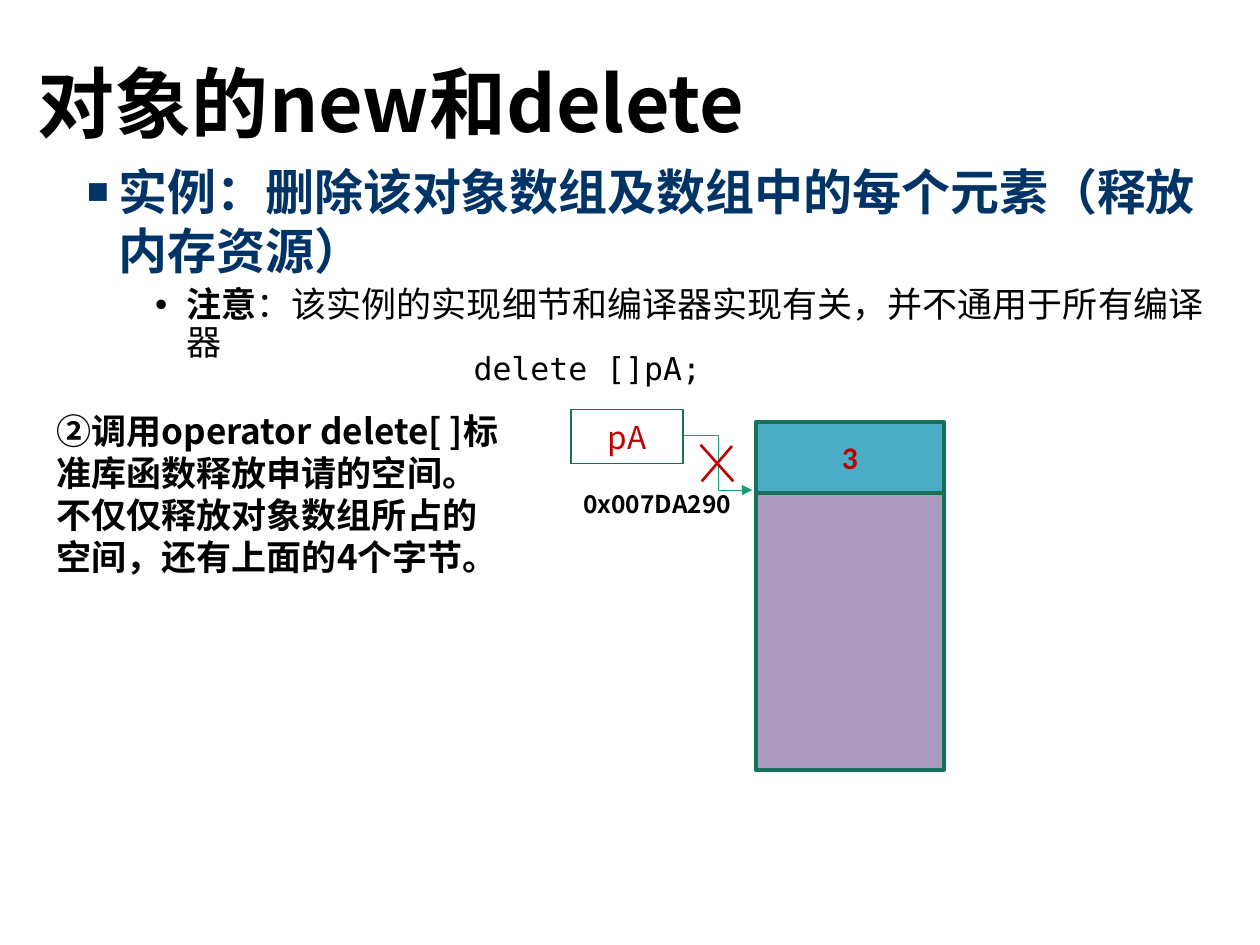
"""Build the slide on new and delete for arrays of objects."""
from dataclasses import dataclass
from typing import Optional

from lxml.etree import SubElement
from pptx import Presentation
from pptx.dml.color import RGBColor
from pptx.enum.shapes import MSO_CONNECTOR as Connector, MSO_SHAPE as Preset
from pptx.enum.text import MSO_ANCHOR as Anchor, MSO_AUTO_SIZE as AutoSize, PP_ALIGN as Align
from pptx.oxml.ns import qn
from pptx.util import Inches, Pt

BLACK = RGBColor(0x00, 0x00, 0x00)
WHITE = RGBColor(0xFF, 0xFF, 0xFF)
NAVY = RGBColor(0x00, 0x33, 0x66)
RED = RGBColor(0xC0, 0x00, 0x00)
PURPLE = RGBColor(0xAA, 0x9A, 0xBF)
BLUE = RGBColor(0x4A, 0xAC, 0xC5)
DARK_GREEN = RGBColor(0x15, 0x72, 0x59)
GREEN = RGBColor(0x1D, 0x9A, 0x78)
SANS, MONO, CALIBRI = "Noto Sans CJK SC", "DejaVu Sans Mono", "Calibri"


@dataclass(frozen=True)
class Label:
    """A text box with its place and style."""
    box: tuple
    lines: tuple
    size: int
    bold: bool = True
    font: str = SANS


@dataclass(frozen=True)
class Block:
    """A bordered rectangle of the memory diagram."""
    box: tuple
    fill: RGBColor
    border: float
    text: str = ""
    bold: bool = False
    font: str = SANS


@dataclass(frozen=True)
class Stroke:
    """A connector between two points."""
    start: tuple
    end: tuple
    color: RGBColor
    width: float
    kind: Connector = Connector.STRAIGHT
    arrow: bool = False


LABELS = (
    Label((0.35, 3.2, 3.78, 1.45), (
        "②调用operator delete[ ]标准库函数释放申请的空间。",
        "不仅仅释放对象数组所占的空间，还有上面的4个字节。"), 20),
    Label((4.53, 3.83, 1.47, 0.34), ("0x007DA290",), 14),
    Label((3.66, 2.72, 7.32, 0.4), ("delete []pA;",), 18, False, MONO),
)
BLOCKS = (
    Block((6, 3.9, 1.49, 2.21), PURPLE, 2.25),
    Block((6, 3.35, 1.49, 0.56), BLUE, 2.25, "3", True, CALIBRI),
    Block((4.53, 3.25, 0.89, 0.43), WHITE, 1, "pA"),
)
STROKES = (
    Stroke((5.43, 3.46), (5.97, 3.89), GREEN, 0.5, Connector.ELBOW, True),
    Stroke((5.56, 3.53), (5.82, 3.82), RED, 1.5),
    Stroke((5.81, 3.54), (5.57, 3.82), RED, 1.5),
)


def style(paragraph, size: int, color: RGBColor, bold: bool, font: str) -> None:
    """Set the font of a paragraph and the East Asian font of its runs."""
    paragraph.font.size = Pt(size)
    paragraph.font.color.rgb = color
    paragraph.font.bold = bold
    paragraph.font.name = font
    for run in paragraph.runs:
        run.font.name = font
        SubElement(run.font._element, qn("a:ea"), typeface=SANS)


def place(shape, box: tuple) -> None:
    """Move and size a shape in inches."""
    shape.left, shape.top, shape.width, shape.height = map(Inches, box)


def set_bullet(paragraph, character: str, margin: float, percent: int) -> None:
    """Give a paragraph a hanging bullet."""
    properties = paragraph._p.get_or_add_pPr()
    properties.set("marL", str(Inches(margin)))
    properties.set("indent", str(Inches(-0.25)))
    SubElement(properties, qn("a:buSzPct"), val=str(percent * 1000))
    SubElement(properties, qn("a:buFont"), typeface="Arial")
    SubElement(properties, qn("a:buChar"), char=character)


def fill_title(title) -> None:
    """Write the slide title."""
    place(title, (0.2, 0.13, 8.62, 1.45))
    frame = title.text_frame
    frame.text = "对象的new和delete"
    frame.vertical_anchor = Anchor.MIDDLE
    frame.auto_size = AutoSize.NONE
    paragraph = frame.paragraphs[0]
    paragraph.alignment = Align.LEFT
    paragraph.line_spacing = 0.9
    style(paragraph, 44, BLACK, True, SANS)


def fill_body(body) -> None:
    """Write the bulleted example and its note."""
    place(body, (0.59, 1.23, 9.33, 5.19))
    frame = body.text_frame
    frame.auto_size = AutoSize.NONE
    example = frame.paragraphs[0]
    example.text = "实例：删除该对象数组及数组中的每个元素（释放内存资源）"
    example.space_before = Pt(10)
    set_bullet(example, "■", 0.25, 75)
    style(example, 28, NAVY, True, MONO)
    note = frame.add_paragraph()
    note.level = 2
    note.line_spacing = 0.9
    note.space_before = Pt(5)
    set_bullet(note, "•", 0.79, 100)
    note.add_run().text = "注意"
    note.add_run().text = "：该实例的实现细节和编译器实现有关，并不通用于所有编译器"
    style(note, 20, BLACK, False, MONO)
    note.runs[0].font.bold = True


def add_label(shapes, label: Label) -> None:
    """Add a text box."""
    frame = shapes.add_textbox(*map(Inches, label.box)).text_frame
    frame.word_wrap = True
    frame.text = "\n".join(label.lines)
    for paragraph in frame.paragraphs:
        style(paragraph, label.size, BLACK, label.bold, label.font)


def add_block(shapes, block: Block) -> None:
    """Add a rectangle with optional centred text."""
    shape = shapes.add_shape(Preset.RECTANGLE, *map(Inches, block.box))
    shape.shadow.inherit = False
    shape.fill.solid()
    shape.fill.fore_color.rgb = block.fill
    shape.line.color.rgb = DARK_GREEN
    shape.line.width = Pt(block.border)
    if block.text:
        frame = shape.text_frame
        frame.text = block.text
        frame.vertical_anchor = Anchor.MIDDLE
        paragraph = frame.paragraphs[0]
        paragraph.alignment = Align.CENTER
        style(paragraph, 18, RED, block.bold, block.font)


def add_stroke(shapes, stroke: Stroke) -> None:
    """Add a connector without shadow."""
    connector = shapes.add_connector(stroke.kind, *map(Inches, stroke.start + stroke.end))
    connector.line.color.rgb = stroke.color
    connector.line.width = Pt(stroke.width)
    if stroke.arrow:
        SubElement(connector.line._get_or_add_ln(), qn("a:tailEnd"), type="triangle")
    SubElement(connector._element.spPr, qn("a:effectLst"))


def main() -> None:
    """Build and save the presentation."""
    presentation = Presentation()
    presentation.slide_width, presentation.slide_height = Inches(10), Inches(7.5)
    slide = presentation.slides.add_slide(presentation.slide_layouts[1])
    fill_title(slide.shapes.title)
    fill_body(slide.placeholders[1])
    for block in BLOCKS:
        add_block(slide.shapes, block)
    for stroke in STROKES:
        add_stroke(slide.shapes, stroke)
    for label in LABELS:
        add_label(slide.shapes, label)
    presentation.save("out.pptx")


main()
